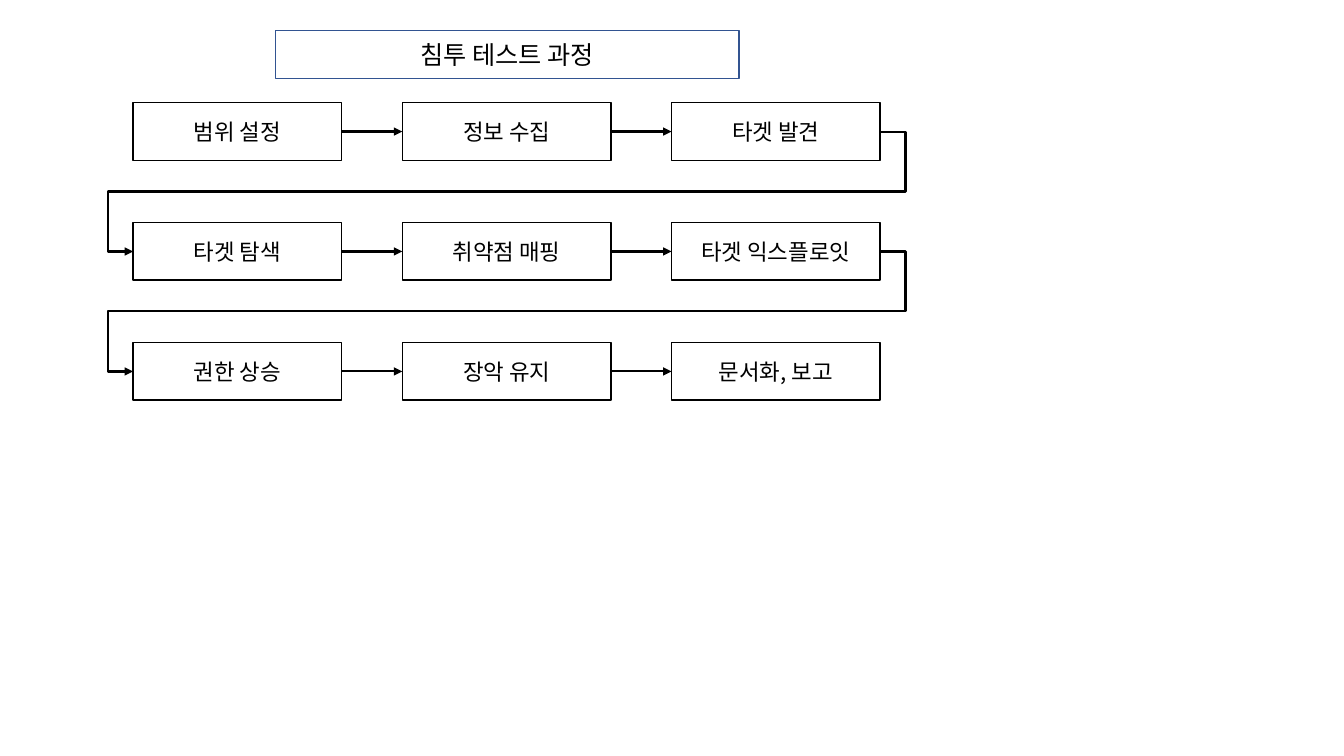
from itertools import pairwise

from lxml import etree
from pptx import Presentation
from pptx import util as u
from pptx.dml.color import RGBColor
from pptx.enum import shapes, text
from pptx.oxml import ns

BLACK = RGBColor(0x00, 0x00, 0x00)
WHITE = RGBColor(0xFF, 0xFF, 0xFF)
BLUE = RGBColor(0x32, 0x54, 0x91)
FONT = "Noto Sans CJK KR"
LEFT_SITE, RIGHT_SITE = 1, 3
STEP_WIDTH, STEP_HEIGHT = 2.07, 0.57
TITLE_BOX = (2.73, 0.3, 4.6, 0.48)
FLOW_BOX = (1.32, 1.02, 7.41, 2.95)
STEPS = [
    ["범위 설정", "정보 수집", "타겟 발견"],
    ["타겟 탐색", "취약점 매핑", "타겟 익스플로잇"],
    ["권한 상승", "장악 유지", "문서화, 보고"],
]


def add_label(page, box, wording, size, outline):
    """Add a white outlined rectangle with centred text."""
    label = page.shapes.add_shape(
        shapes.MSO_SHAPE.RECTANGLE, *(u.Inches(length) for length in box))
    label.shadow.inherit = False
    label.fill.solid()
    label.fill.fore_color.rgb = WHITE
    label.line.color.rgb = outline
    label.line.width = u.Pt(1)
    frame = label.text_frame
    frame.word_wrap = True
    frame.vertical_anchor = text.MSO_ANCHOR.MIDDLE
    para = frame.paragraphs[0]
    para.alignment = text.PP_ALIGN.CENTER
    span = para.add_run()
    span.text = wording
    for font in (para.font, span.font):
        font.name = FONT
        font.size = u.Pt(size)
        font.color.rgb = BLACK
    east_asian = etree.SubElement(span.font._element, ns.qn("a:ea"))
    east_asian.set("typeface", FONT)
    return label


def add_arrow(page, source, target, kind):
    """Join the right side of one step to the left side of the next."""
    arrow = page.shapes.add_connector(kind, 0, 0, 0, 0)
    arrow.begin_connect(source, RIGHT_SITE)
    arrow.end_connect(target, LEFT_SITE)
    arrow.line.color.rgb = BLACK
    arrow.line.width = u.Pt(1.5)
    outline = arrow.line._get_or_add_ln()
    etree.SubElement(outline, ns.qn("a:tailEnd")).set("type", "triangle")
    etree.SubElement(arrow._element.spPr, ns.qn("a:effectLst"))
    return arrow


def add_return_arrow(page, source, target):
    """Lead from the end of a row around to the start of the next row."""
    arrow = add_arrow(page, source, target, shapes.MSO_CONNECTOR.ELBOW)
    geometry = arrow._element.spPr.find(ns.qn("a:prstGeom"))
    geometry.set("prst", "bentConnector5")
    guides = geometry.find(ns.qn("a:avLst"))
    for number, share in enumerate((-3400, 50000, 103400), start=1):
        guide = etree.SubElement(guides, ns.qn("a:gd"))
        guide.set("name", f"adj{number}")
        guide.set("fmla", f"val {share}")


def add_flow(page, box, steps):
    """Lay the steps out in an even grid and join them in reading order."""
    left, top, width, height = box
    column_pitch = (width - STEP_WIDTH) / (len(steps[0]) - 1)
    row_pitch = (height - STEP_HEIGHT) / (len(steps) - 1)
    rows = [
        [add_label(page, (left + column * column_pitch, top + row * row_pitch,
                          STEP_WIDTH, STEP_HEIGHT), wording, 16, BLACK)
         for column, wording in enumerate(wordings)]
        for row, wordings in enumerate(steps)
    ]
    for row in rows:
        for source, target in pairwise(row):
            add_arrow(page, source, target, shapes.MSO_CONNECTOR.STRAIGHT)
    for upper, lower in pairwise(rows):
        add_return_arrow(page, upper[-1], lower[0])


def build_process_slide(deck):
    """Add the slide with the title and the process flow."""
    page = deck.slides.add_slide(deck.slide_layouts[6])
    add_flow(page, FLOW_BOX, STEPS)
    add_label(page, TITLE_BOX, "침투 테스트 과정", 18, BLUE)


deck = Presentation()
deck.slide_width, deck.slide_height = u.Inches(13.33), u.Inches(7.5)
build_process_slide(deck)
deck.save("out.pptx")
